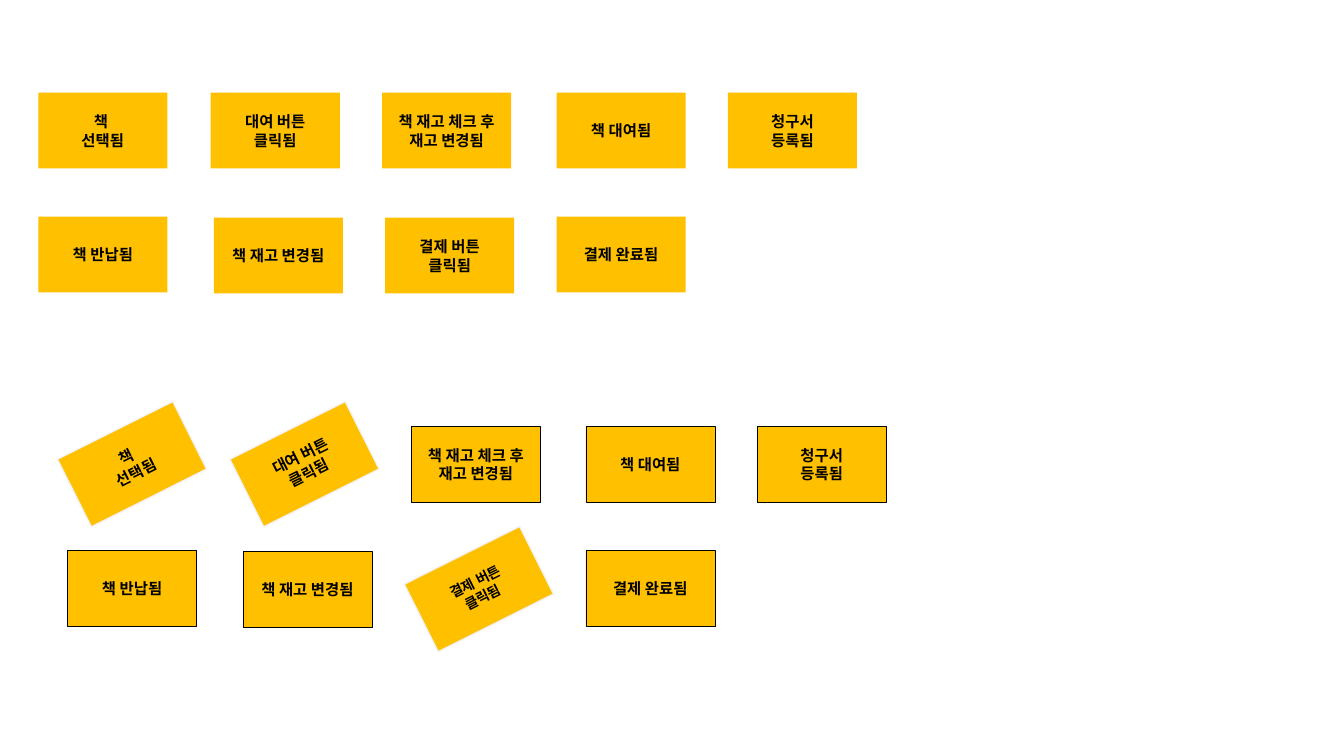
"""Build a slide of book-rental event notes: the full list above, the sorted notes below."""
import pptx
import pptx.dml.color
import pptx.enum.shapes
import pptx.enum.text
import pptx.oxml
import pptx.oxml.ns
import pptx.util

INCH, POINT = pptx.util.Inches, pptx.util.Pt
AMBER = pptx.dml.color.RGBColor(0xFF, 0xC0, 0x00)
BLACK = pptx.dml.color.RGBColor(0x00, 0x00, 0x00)
PALE = pptx.dml.color.RGBColor(0xF2, 0xF2, 0xF2)
FONT = "Noto Sans CJK KR"

EVENTS = [
    ("책 \n선택됨", 0.38, 0.92),
    ("대여 버튼\n클릭됨", 2.09, 0.92),
    ("책 재고 체크 후\n재고 변경됨", 3.79, 0.92),
    ("책 대여됨", 5.52, 0.92),
    ("청구서\n등록됨", 7.22, 0.92),
    ("책 반납됨", 0.38, 2.15),
    ("책 재고 변경됨", 2.12, 2.16),
    ("결제 버튼\n클릭됨", 3.82, 2.16),
    ("결제 완료됨", 5.52, 2.15),
]
REJECTED_SIZES = {"책 \n선택됨": 11, "대여 버튼\n클릭됨": 11, "결제 버튼\n클릭됨": 10}
NOTE_WIDTH, NOTE_HEIGHT = 1.28, 0.75
SORTED_RIGHT, SORTED_DOWN = 0.29, 3.31
TILT = 333.4
LINE_RATIO = 1.22


def add_note(page, label, left, top, size=11, outline=None, turn=0):
    note = page.shapes.add_shape(
        pptx.enum.shapes.MSO_SHAPE.RECTANGLE,
        INCH(left), INCH(top), INCH(NOTE_WIDTH), INCH(NOTE_HEIGHT))
    note.shadow.inherit = False
    note.rotation = turn
    note.fill.solid()
    note.fill.fore_color.rgb = AMBER
    if outline:
        color, weight = outline
        note.line.color.rgb = color
        note.line.width = POINT(weight)
    else:
        note.line.fill.background()
    frame = note.text_frame
    frame.word_wrap = True
    frame.vertical_anchor = pptx.enum.text.MSO_ANCHOR.MIDDLE
    frame.text = label
    for para in frame.paragraphs:
        para.alignment = pptx.enum.text.PP_ALIGN.CENTER
        para.line_spacing = POINT(round(size * LINE_RATIO, 1))
        for span in para.runs:
            span.font.color.rgb = BLACK
            for name, value in {"size": POINT(size), "bold": True, "name": FONT}.items():
                setattr(span.font, name, value)
            east_asian = pptx.oxml.parse_xml(
                f'<a:ea {pptx.oxml.ns.nsdecls("a")} typeface="{FONT}"/>')
            span.font._element.append(east_asian)


deck = pptx.Presentation()
deck.slide_width, deck.slide_height = INCH(13.33), INCH(7.5)
page = deck.slides.add_slide(deck.slide_layouts[6])

for label, left, top in EVENTS:
    add_note(page, label, left, top)

for label, left, top in EVENTS:
    place = left + SORTED_RIGHT, top + SORTED_DOWN
    if label in REJECTED_SIZES:
        add_note(page, label, *place, REJECTED_SIZES[label], (PALE, 1), TILT)
    else:
        add_note(page, label, *place, outline=(BLACK, 0.25))

deck.save("out.pptx")
